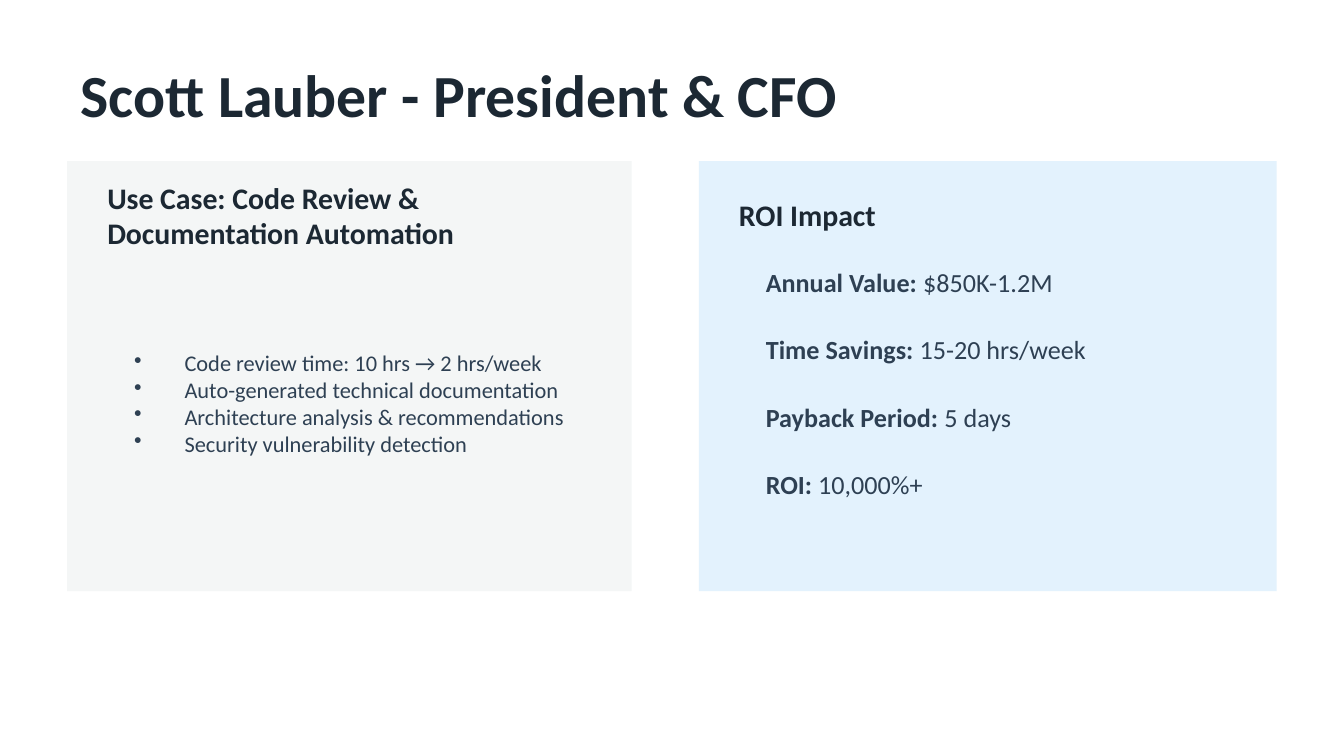
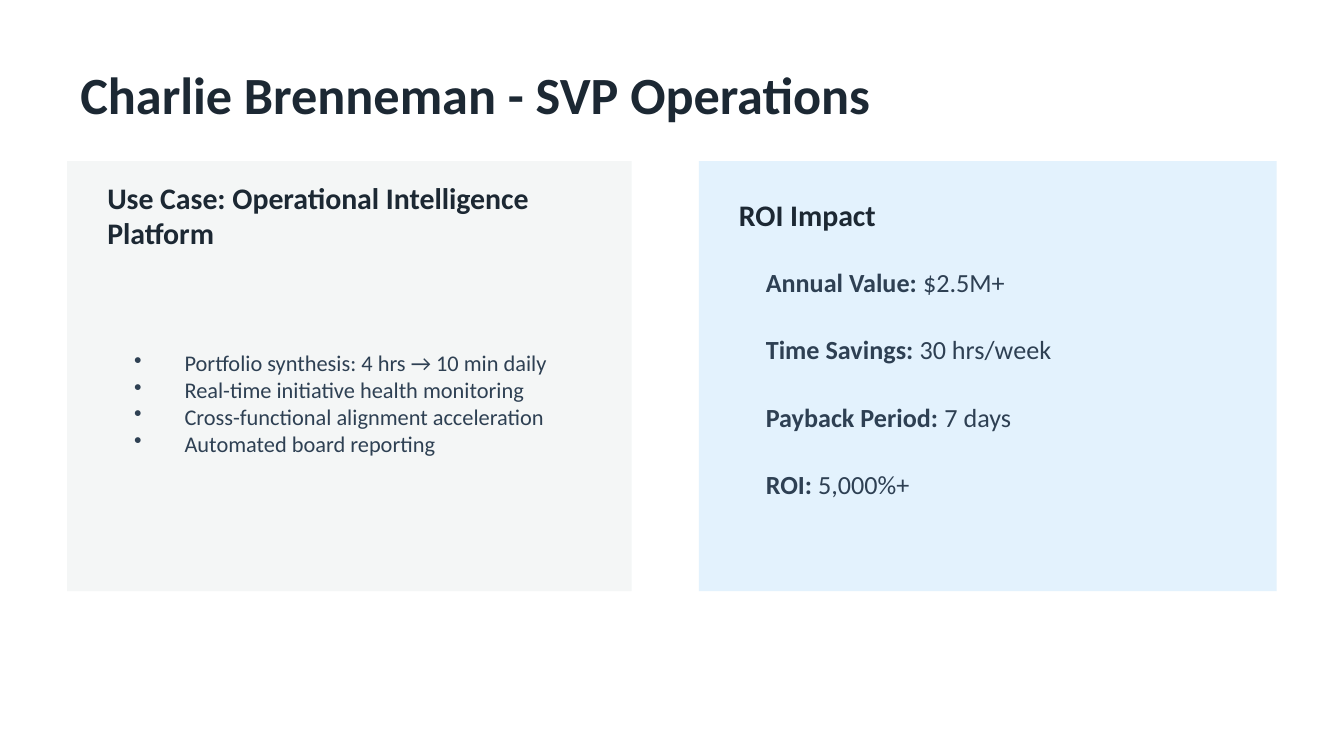
import pptx
import pptx.dml.color
import pptx.enum.shapes
import pptx.enum.text
import pptx.util
from lxml import etree

EMU_PER_PX = 11430  # 80 px to the inch
SLIDE_WIDTH, SLIDE_HEIGHT = 800, 450
FONT = "Calibri"
COLOURS = {
    "heading": "1C2833",
    "body": "2E4053",
    "use_case": "F4F6F6",
    "roi": "E3F2FD",
}
PANEL_TOP, PANEL_HEIGHT = 96, 256
HEADING_TOP, LINE_HEIGHT = 112, 32
BODY_TOP, METRIC_STEP = 152, 40
BULLET_INDENT = 30
METRICS = ("Annual Value", "Time Savings", "Payback Period", "ROI")

EXECUTIVES = [
    {
        "title": "Scott Lauber - President & CFO",
        "title_size": 32,
        "use_case": "Code Review & Documentation Automation",
        "benefits": [
            "Code review time: 10 hrs → 2 hrs/week",
            "Auto-generated technical documentation",
            "Architecture analysis & recommendations",
            "Security vulnerability detection",
        ],
        "results": ["$850K-1.2M", "15-20 hrs/week", "5 days", "10,000%+"],
    },
    {
        "title": "Charlie Brenneman - SVP Operations",
        "title_size": 28,
        "use_case": "Operational Intelligence Platform",
        "benefits": [
            "Portfolio synthesis: 4 hrs → 10 min daily",
            "Real-time initiative health monitoring",
            "Cross-functional alignment acceleration",
            "Automated board reporting",
        ],
        "results": ["$2.5M+", "30 hrs/week", "7 days", "5,000%+"],
    },
]


def px(length):
    return pptx.util.Emu(length * EMU_PER_PX)


def rgb(name):
    return pptx.dml.color.RGBColor.from_string(COLOURS[name])


class Deck:
    """Holds the shared style and the slide being filled."""

    def __init__(self):
        self.presentation = pptx.Presentation()
        self.presentation.slide_width = px(SLIDE_WIDTH)
        self.presentation.slide_height = px(SLIDE_HEIGHT)
        self.slide = None

    def new_slide(self):
        blank = self.presentation.slide_layouts[6]
        self.slide = self.presentation.slides.add_slide(blank)

    def panel(self, left, width, colour):
        panel = self.slide.shapes.add_shape(
            pptx.enum.shapes.MSO_SHAPE.RECTANGLE,
            px(left), px(PANEL_TOP), px(width), px(PANEL_HEIGHT))
        panel.shadow.inherit = False
        panel.fill.solid()
        panel.fill.fore_color.rgb = rgb(colour)
        panel.line.fill.background()

    def text(self, box, paragraphs, size, colour, bulleted=False):
        """Write paragraphs, each a list of (words, bold) runs, centred vertically."""
        frame = self.slide.shapes.add_textbox(*map(px, box)).text_frame
        frame.word_wrap = True
        frame.vertical_anchor = pptx.enum.text.MSO_ANCHOR.MIDDLE
        for index, runs in enumerate(paragraphs):
            paragraph = frame.add_paragraph() if index else frame.paragraphs[0]
            if bulleted:
                self.bullet(paragraph)
            for words, bold in runs:
                run = paragraph.add_run()
                run.text = words
                run.font.name = FONT
                run.font.size = pptx.util.Pt(size)
                run.font.bold = bold
                run.font.color.rgb = rgb(colour)

    def bullet(self, paragraph):
        properties = paragraph._p.get_or_add_pPr()
        indent = px(BULLET_INDENT)
        properties.set("marL", str(indent))
        properties.set("indent", str(-indent))
        namespace = properties.nsmap["a"]
        etree.SubElement(properties, f"{{{namespace}}}buChar", char="•")

    def title(self, words, size):
        self.text((40, 32, 720, 48), [[(words, True)]], size, "heading")

    def heading(self, left, width, words):
        self.text((left, HEADING_TOP, width, LINE_HEIGHT), [[(words, True)]], 16, "heading")

    def benefits(self, items):
        self.text((72, BODY_TOP, 288, 176), [[(item, False)] for item in items],
                  12, "body", bulleted=True)

    def metric(self, row, label, result):
        self.text((448, BODY_TOP + row * METRIC_STEP, 296, LINE_HEIGHT),
                  [[(f"{label}: ", True), (result, False)]], 14, "body")


def add_executive(deck, executive):
    deck.new_slide()
    deck.title(executive["title"], executive["title_size"])

    deck.panel(40, 336, "use_case")
    deck.heading(56, 304, f"Use Case: {executive['use_case']}")
    deck.benefits(executive["benefits"])

    deck.panel(416, 344, "roi")
    deck.heading(432, 312, "ROI Impact")
    for row, (label, result) in enumerate(zip(METRICS, executive["results"])):
        deck.metric(row, label, result)


def main():
    deck = Deck()
    for executive in EXECUTIVES:
        add_executive(deck, executive)
    deck.presentation.save("out.pptx")


if __name__ == "__main__":
    main()
